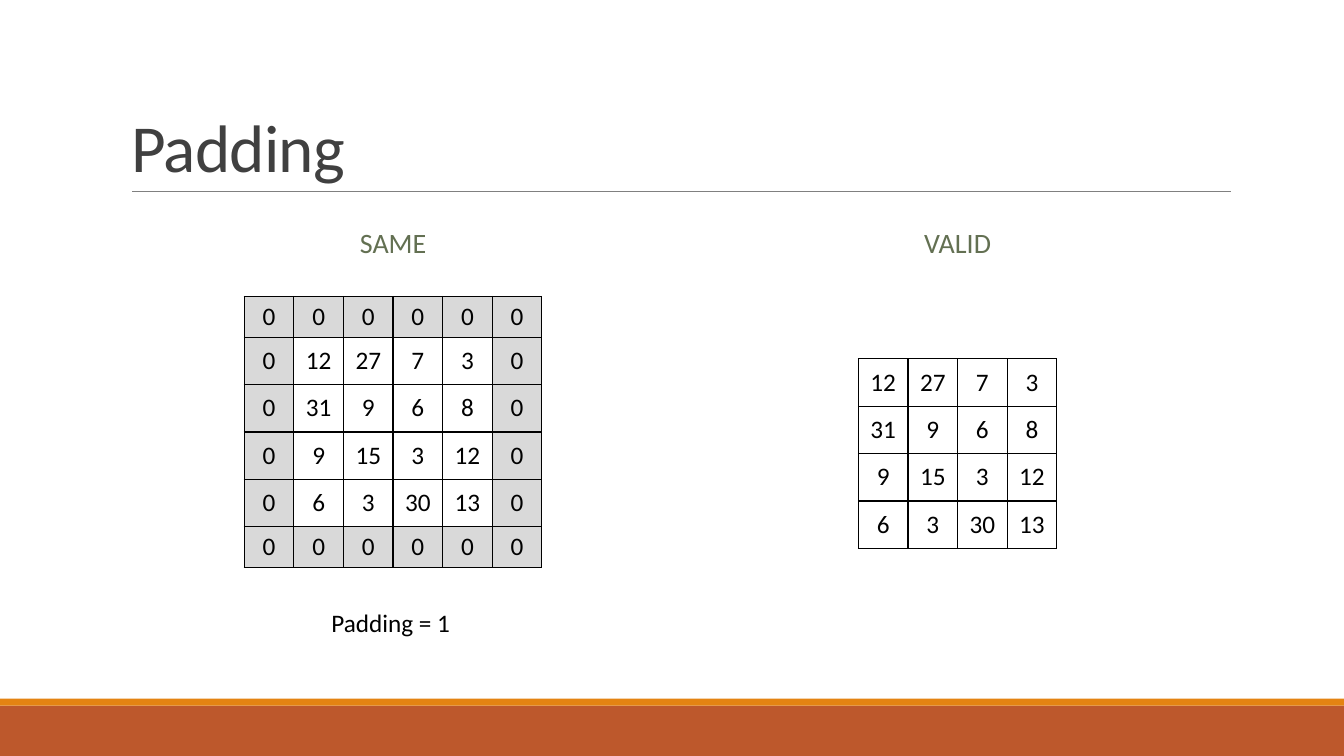
from dataclasses import dataclass

from lxml.etree import SubElement
from pptx import Presentation
from pptx.dml.color import RGBColor
from pptx.enum.shapes import MSO_CONNECTOR, MSO_SHAPE
from pptx.enum.text import MSO_ANCHOR, MSO_AUTO_SIZE, PP_ALIGN
from pptx.oxml.ns import qn
from pptx.slide import Slide
from pptx.table import _Cell
from pptx.text.text import TextFrame, _Paragraph
from pptx.util import Emu, Inches, Pt

SLIDE_WIDTH, SLIDE_HEIGHT = Inches(13.33), Inches(7.5)
FONT = "Calibri"
COLORS = {
    "rust": "BD582C",
    "orange": "E48312",
    "rule": "808080",
    "title": "404040",
    "heading": "637052",
    "ink": "000000",
    "padding": "D9D9D9",
}

# Lengths below are percentages of the slide's width or height.
CELL_WIDTH = 3.69
VALUE_ROW, PADDING_ROW = 6.27, 5.4
VALUES = [
    [12, 27, 7, 3],
    [31, 9, 6, 8],
    [9, 15, 3, 12],
    [6, 3, 30, 13],
]


def across(percent: float) -> Emu:
    return Emu(round(SLIDE_WIDTH * percent / 100))


def down(percent: float) -> Emu:
    return Emu(round(SLIDE_HEIGHT * percent / 100))


@dataclass(frozen=True)
class Box:
    left: float
    top: float
    width: float
    height: float

    def emu(self) -> tuple[Emu, Emu, Emu, Emu]:
        return across(self.left), down(self.top), across(self.width), down(self.height)


@dataclass(frozen=True)
class Band:
    box: Box
    color: str


@dataclass(frozen=True)
class PaddingMode:
    heading: str
    heading_box: Box
    matrix_top: float
    padding: int


BANDS = [
    Band(Box(0, 93.33, 100, 6.67), "rust"),
    Band(Box(0, 92.4, 100, 0.93), "orange"),
]
MODES = [
    PaddingMode("SAME", Box(9, 26.93, 40.5, 10.8), 39.2, padding=1),
    PaddingMode("VALID", Box(51, 26.93, 40.5, 10.8), 47.47, padding=0),
]
TITLE_BOX = Box(9, 4.13, 82.5, 21.2)
CAPTION_BOX = Box(23.92, 79.73, 17.4, 5.33)
RULE_LEFT, RULE_RIGHT, RULE_TOP = 9.83, 91.58, 25.33


def rgb(name: str) -> RGBColor:
    return RGBColor.from_string(COLORS[name])


def write(frame: TextFrame, text: str, size: float, color: str,
          align: PP_ALIGN = PP_ALIGN.LEFT) -> _Paragraph:
    paragraph = frame.paragraphs[0]
    paragraph.alignment = align
    run = paragraph.add_run()
    run.text = text
    run.font.name = FONT
    run.font.size = Pt(size)
    run.font.color.rgb = rgb(color)
    return paragraph


def draw_band(slide: Slide, band: Band) -> None:
    bar = slide.shapes.add_shape(MSO_SHAPE.RECTANGLE, *band.box.emu())
    bar.shadow.inherit = False
    bar.fill.solid()
    bar.fill.fore_color.rgb = rgb(band.color)
    bar.line.fill.background()


def draw_title_rule(slide: Slide) -> None:
    rule = slide.shapes.add_connector(
        MSO_CONNECTOR.STRAIGHT,
        across(RULE_LEFT), down(RULE_TOP), across(RULE_RIGHT), down(RULE_TOP))
    rule.line.color.rgb = rgb("rule")
    rule.line.width = Pt(0.5)
    SubElement(rule._element.spPr, qn("a:effectLst"))


def fill_title(slide: Slide) -> None:
    title = slide.shapes.title
    title.left, title.top, title.width, title.height = TITLE_BOX.emu()
    frame = title.text_frame
    frame.auto_size = MSO_AUTO_SIZE.NONE
    frame.vertical_anchor = MSO_ANCHOR.BOTTOM
    paragraph = write(frame, "Padding", 48, "title")
    paragraph.line_spacing = 0.85
    paragraph.runs[0].font._element.set("spc", "-50")


def add_text_frame(slide: Slide, box: Box) -> TextFrame:
    frame = slide.shapes.add_textbox(*box.emu()).text_frame
    frame.word_wrap = True
    return frame


def draw_heading(slide: Slide, mode: PaddingMode) -> None:
    frame = add_text_frame(slide, mode.heading_box)
    frame.vertical_anchor = MSO_ANCHOR.MIDDLE
    paragraph = write(frame, mode.heading, 20, "heading", PP_ALIGN.CENTER)
    paragraph.line_spacing = 0.9
    paragraph.space_before, paragraph.space_after = Pt(12), Pt(2)


def border(cell: _Cell) -> None:
    properties = cell._tc.get_or_add_tcPr()
    for side in ("lnL", "lnR", "lnT", "lnB"):
        line = SubElement(properties, qn(f"a:{side}"), w=str(Pt(1)))
        SubElement(SubElement(line, qn("a:solidFill")), qn("a:srgbClr"), val=COLORS["ink"])


def draw_matrix(slide: Slide, mode: PaddingMode) -> None:
    """Draw the values, ringed by zeros and centred under the heading."""
    pad = mode.padding
    count = len(VALUES) + 2 * pad
    inner = range(pad, count - pad)
    heights = [VALUE_ROW if row in inner else PADDING_ROW for row in range(count)]
    width = count * CELL_WIDTH
    left = mode.heading_box.left + (mode.heading_box.width - width) / 2
    box = Box(left, mode.matrix_top, width, sum(heights))
    matrix = slide.shapes.add_table(count, count, *box.emu()).table
    matrix.first_row = matrix.horz_banding = False
    for column in matrix.columns:
        column.width = across(CELL_WIDTH)
    for row, height in enumerate(heights):
        matrix.rows[row].height = down(height)
        for column in range(count):
            cell = matrix.cell(row, column)
            cell.vertical_anchor = MSO_ANCHOR.MIDDLE
            border(cell)
            if row in inner and column in inner:
                value = VALUES[row - pad][column - pad]
                cell.fill.background()
            else:
                value = 0
                cell.fill.solid()
                cell.fill.fore_color.rgb = rgb("padding")
            write(cell.text_frame, str(value), 18, "ink", PP_ALIGN.CENTER)


def main() -> None:
    deck = Presentation()
    deck.slide_width, deck.slide_height = SLIDE_WIDTH, SLIDE_HEIGHT
    slide = deck.slides.add_slide(deck.slide_layouts.get_by_name("Title Only"))
    for band in BANDS:
        draw_band(slide, band)
    draw_title_rule(slide)
    fill_title(slide)
    for mode in MODES:
        draw_heading(slide, mode)
        draw_matrix(slide, mode)
    write(add_text_frame(slide, CAPTION_BOX), "Padding = 1", 18, "ink")
    deck.save("out.pptx")


if __name__ == "__main__":
    main()
